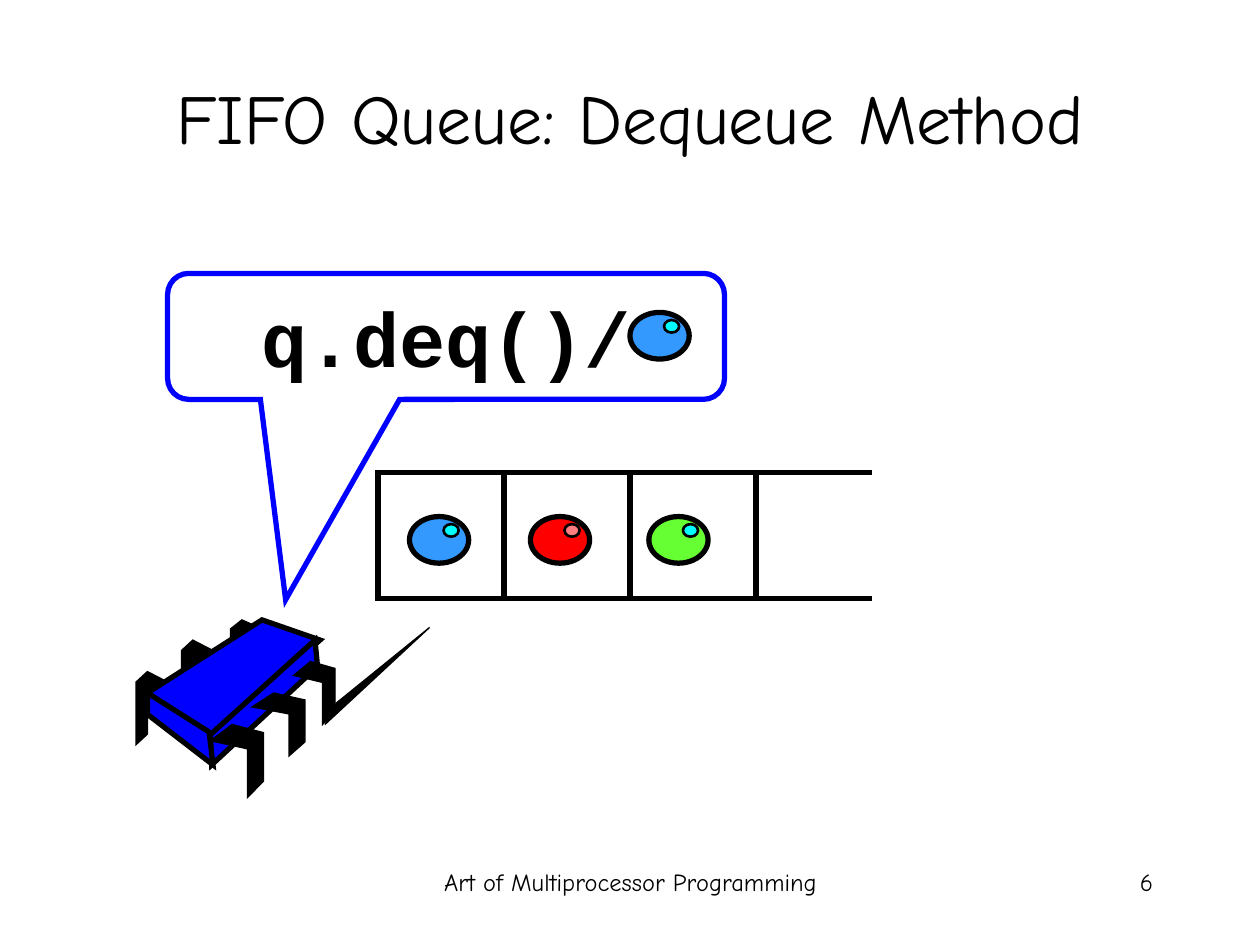
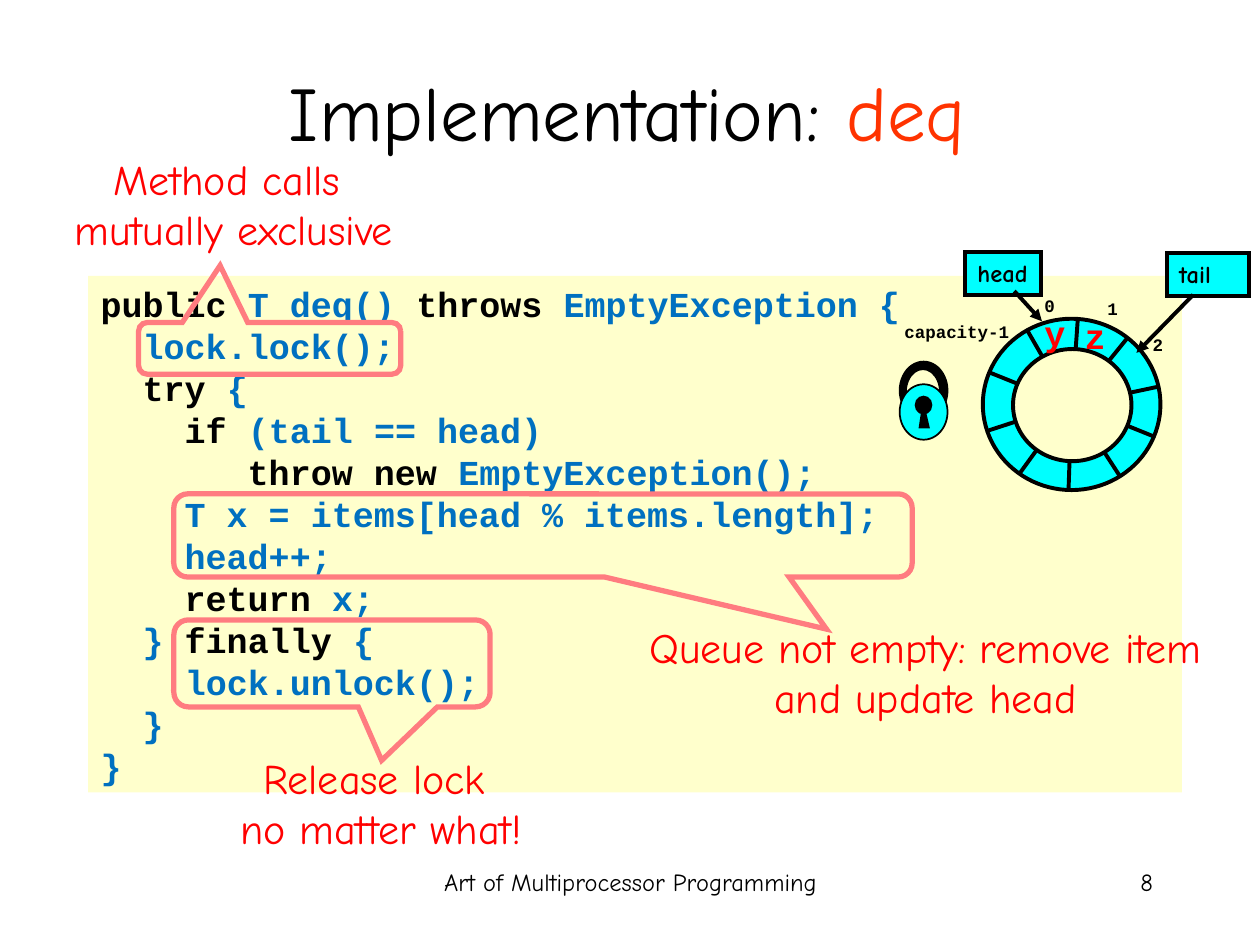
from dataclasses import dataclass
from itertools import cycle
from math import cos, radians, sin
from typing import NamedTuple

from pptx import Presentation
from pptx.dml.color import RGBColor
from pptx.enum.shapes import MSO_CONNECTOR, MSO_SHAPE as Shape
from pptx.enum.text import MSO_ANCHOR as Anchor, PP_ALIGN as Align
from pptx.oxml.ns import qn
from pptx.util import Inches, Pt
from lxml.etree import SubElement


@dataclass(frozen=True)
class Theme:
    """Colours, fonts and type sizes shared by the slides."""

    black: str = "000000"
    blue: str = "0000FF"
    sky: str = "3399FF"
    green: str = "66FF33"
    red: str = "FF0000"
    orange: str = "FF3300"
    pink: str = "FF7C80"
    cyan: str = "00FFFF"
    cream: str = "FFFFCC"
    code: str = "0070C0"
    hand: str = "Comic Neue"
    mono: str = "Courier New"
    title: int = 40
    big_title: int = 44
    call: int = 44
    note: int = 24
    listing: int = 20
    small: int = 14
    index: int = 10
    thick: float = 3
    medium: float = 2.25
    thin: float = 1


THEME = Theme()


class Box(NamedTuple):
    """A rectangle in inches."""

    left: float
    top: float
    width: float
    height: float

    def inside(self, left, top, width, height):
        """Return a box placed relative to this one."""
        return Box(self.left + left, self.top + top, width, height)

    def point(self, x, y):
        """Return a slide position, in EMU, relative to this box."""
        return Inches(self.left + x), Inches(self.top + y)

    def emu(self):
        """Return the four lengths in EMU."""
        return [Inches(length) for length in self]


CODE = [
    ("public ", "T deq() ", "throws ", "EmptyException {"),
    ("  ", "lock.lock();"),
    ("  try ", "{"),
    ("    if ", "(tail == head)"),
    ("       throw new ", "EmptyException();"),
    ("", "    T x = items[head % items.length];"),
    ("", "    head++;"),
    ("    return ", "x;"),
    ("  ", "}", " finally ", "{"),
    ("    ", "lock.unlock();"),
    ("", "  }"),
    ("", "}"),
]


def outline(line, colour, width):
    """Draw a solid line with sharp corners."""
    line.color.rgb = RGBColor.from_string(colour)
    line.width = Pt(width)
    SubElement(line._get_or_add_ln(), qn("a:miter"), lim="800000")


def paint(shape, fill=None, line=None, width=THEME.thick):
    """Set fill and outline, leaving out whichever is not given."""
    shape.shadow.inherit = False
    if fill:
        shape.fill.solid()
        shape.fill.fore_color.rgb = RGBColor.from_string(fill)
    else:
        shape.fill.background()
    if line:
        outline(shape.line, line, width)
    else:
        shape.line.fill.background()
    return shape


def figure(shapes, kind, box, fill=None, line=None, width=THEME.thick):
    """Add a painted preset shape."""
    return paint(shapes.add_shape(kind, *box.emu()), fill, line, width)


def polygon(shapes, box, points, fill, line=None, width=THEME.thick):
    """Add a closed outline through points given relative to the box."""
    start, *rest = [box.point(x, y) for x, y in points]
    builder = shapes.build_freeform(*start)
    builder.add_line_segments(rest, close=True)
    return paint(builder.convert_to_shape(), fill, line, width)


def stroke(shapes, box, start, end, width, arrow=False):
    """Add a straight line between points relative to the box."""
    connector = shapes.add_connector(
        MSO_CONNECTOR.STRAIGHT, *box.point(*start), *box.point(*end))
    outline(connector.line, THEME.black, width)
    if arrow:
        SubElement(connector.line._get_or_add_ln(), qn("a:tailEnd"), type="triangle")
    SubElement(connector._element.spPr, qn("a:effectLst"))


def write(shape, lines, size, font=THEME.hand, colour=THEME.black, bold=False,
          align=Align.LEFT, anchor=Anchor.TOP, wrap=True):
    """Fill a shape with lines, each a string or a list of coloured runs."""
    frame = shape.text_frame
    frame.word_wrap = wrap
    frame.vertical_anchor = anchor
    for number, line in enumerate(lines):
        paragraph = frame.add_paragraph() if number else frame.paragraphs[0]
        paragraph.alignment = align
        paragraph.font.size = Pt(size)
        paragraph.font.name = font
        paragraph.font.bold = bold
        if isinstance(line, str):
            paragraph.add_run().text = line
            paragraph.font.color.rgb = RGBColor.from_string(colour)
            continue
        for text, run_colour in line:
            run = paragraph.add_run()
            run.text = text
            run.font.color.rgb = RGBColor.from_string(run_colour)


def label(shapes, box, lines, size, **style):
    """Add a text box."""
    write(shapes.add_textbox(*box.emu()), lines, size, **style)


def callout(shapes, box, tip, colour):
    """Add a rounded speech bubble whose tip is a share of its size."""
    bubble = figure(shapes, Shape.ROUNDED_RECTANGULAR_CALLOUT, box, line=colour)
    for index, value in enumerate((*tip, 0.167)):
        bubble.adjustments[index] = value
    return bubble


def frame_slide(deck, number, title, title_box, title_size):
    """Start a slide with its title, footer and page number."""
    shapes = deck.slides.add_slide(deck.slide_layouts[6]).shapes
    label(shapes, Box(3.42, 6.83, 3.17, 0.5), ["Art of Multiprocessor Programming"],
          THEME.small, align=Align.CENTER)
    label(shapes, Box(7.17, 6.83, 2.08, 0.5), [str(number)], THEME.small, align=Align.RIGHT)
    label(shapes, title_box, [title], title_size, align=Align.CENTER, anchor=Anchor.MIDDLE)
    return shapes


def ball(shapes, box, colour, glint=THEME.cyan):
    """Draw a queue item with its highlight."""
    parts = shapes.add_group_shape().shapes
    figure(parts, Shape.OVAL, box, colour, THEME.black)
    figure(parts, Shape.OVAL, box.inside(0.27, 0.06, 0.12, 0.1), glint, THEME.black, 1.5)


def queue(shapes, box):
    """Draw an open-ended queue holding three items."""
    side = box.height
    items = [(0.25, THEME.sky, THEME.cyan), (0.21, THEME.red, THEME.pink),
             (0.15, THEME.green, THEME.cyan)]
    for slot, (inset, colour, glint) in enumerate(items):
        cell = box.inside(slot * side, 0, side, side)
        figure(shapes, Shape.RECTANGLE, cell, line=THEME.black)
        ball(shapes, cell.inside(inset, 0.35, 0.47, 0.37), colour, glint)
    for edge in (0, side):
        stroke(shapes, box, (box.width - side, edge), (box.width, edge), THEME.thick)


def chip(shapes, box):
    """Draw a processor chip that reaches out with an antenna."""
    parts = shapes.add_group_shape().shapes
    back_leg = [(1, 1 / 7), (0.36, 0), (0, 1 / 7), (0, 1), (0.36, 6 / 7), (0.36, 2 / 7), (1, 3 / 7)]
    front_leg = [(0.41, 0), (0, 2 / 9), (0.7, 3 / 9), (0.7, 1), (1, 7 / 9), (1, 1 / 9)]
    back_spots = [(0, 0.41, 0.25, 0.58), (0.36, 0.16, 0.25, 0.58), (0.75, 0, 0.25, 0.5)]
    front_spots = [(0.59, 0.83, 0.42, 0.58), (0.92, 0.58, 0.42, 0.5), (1.25, 0.33, 0.33, 0.5)]
    faces = [
        [(1, 0), (0.09, 0.58), (0.6, 0.93), (1.46, 0.16)],
        [(1.42, 0.16), (0.59, 0.91), (0.6, 1.15), (1.44, 0.37)],
        [(0.09, 0.58), (0.09, 0.75), (0.61, 1.15), (0.58, 0.89)],
    ]

    def legs(spots, leg):
        """Draw one row of legs."""
        for spot in spots:
            area = box.inside(*spot)
            points = [(x * area.width, y * area.height) for x, y in leg]
            polygon(parts, area, points, THEME.black, THEME.black, 0.75)

    legs(back_spots, back_leg)
    for face in faces:
        polygon(parts, box, face, THEME.blue, THEME.black)
    legs(front_spots, front_leg)
    antenna = [(1.5, 0.83), (1.59, 0.66), (2.33, 0.06)]
    polygon(parts, box, antenna, THEME.black, THEME.black, 0.75)


def padlock(shapes, box):
    """Draw a closed padlock."""
    thin = THEME.thin
    figure(shapes, Shape.OVAL, box.inside(0, 0, 0.38, 0.46), THEME.black, THEME.black, thin)
    figure(shapes, Shape.OVAL, box.inside(0.05, 0.06, 0.27, 0.36), THEME.cream, THEME.black, thin)
    figure(shapes, Shape.OVAL, box.inside(0, 0.18, 0.38, 0.44), THEME.cyan, THEME.black, thin)
    figure(shapes, Shape.OVAL, box.inside(0.12, 0.27, 0.14, 0.15), THEME.black)
    keyhole = [(0.15, 0.53), (0.17, 0.4), (0.21, 0.4), (0.24, 0.53)]
    polygon(shapes, box, keyhole, THEME.black)


def ring_buffer(shapes, box):
    """Draw the circular array with its indices, pointers and lock."""
    parts = shapes.add_group_shape().shapes
    medium = THEME.medium
    ring = box.inside(0.72, 0.53, 1.41, 1.36)
    hole = ring.inside(0.24, 0.24, 0.94, 0.89)
    for disc, colour in ((ring, THEME.cyan), (hole, THEME.cream)):
        figure(parts, Shape.OVAL, disc, colour, THEME.black, medium)
    for degrees in (4, 39, 78, 112, 147, 182, 216, 252, 292, 330):
        across, up = sin(radians(degrees)), cos(radians(degrees))
        inner, outer = [((ring.width + across * disc.width) / 2,
                         (ring.height - up * disc.height) / 2) for disc in (hole, ring)]
        stroke(parts, ring, inner, outer, medium)
    indices = [("0", 1.11, 0.29, 0.28), ("1", 1.61, 0.32, 0.28),
               ("capacity-1", 0, 0.5, 1.03), ("2", 1.97, 0.6, 0.28)]
    for text, left, top, width in indices:
        label(parts, box.inside(left, top, width, 0.27), [text], THEME.index,
              font=THEME.mono, bold=True, wrap=False)
    pointers = [("head", (0.58, 0, 0.6, 0.34), (0.97, 0.31), (1.19, 0.55)),
                ("tail", (2.18, 0.01, 0.65, 0.34), (2.39, 0.34), (1.94, 0.8))]
    for text, spot, start, end in pointers:
        tag = figure(parts, Shape.RECTANGLE, box.inside(*spot), THEME.cyan, THEME.black, medium)
        write(tag, [text], THEME.small, bold=True, wrap=False if text == "head" else True)
        stroke(parts, box, start, end, medium, arrow=True)
    for text, left, top in (("y", 1.11, 0.42), ("z", 1.43, 0.45)):
        label(parts, box.inside(left, top, 0.37, 0.44), [text], THEME.listing,
              font=THEME.mono, colour=THEME.red, bold=True, wrap=False)
    padlock(parts, box.inside(0.06, 0.87, 0.38, 0.62))


def code_panel(shapes, box):
    """Show the listing with keywords set apart by colour."""
    panel = figure(shapes, Shape.RECTANGLE, box, THEME.cream)
    lines = [[(text, colour) for text, colour in zip(line, cycle((THEME.black, THEME.code))) if text]
             for line in CODE]
    write(panel, lines, THEME.listing, font=THEME.mono, bold=True)


def remark(shapes, bubble_box, tip, note_box, lines):
    """Ring part of the listing and explain it."""
    callout(shapes, bubble_box, tip, THEME.pink)
    label(shapes, note_box, lines, THEME.note, colour=THEME.red, align=Align.CENTER)


def dequeue_slide(deck):
    """Build the slide on the dequeue call."""
    shapes = frame_slide(deck, 6, "FIFO Queue: Dequeue Method", Box(0.5, 0.3, 9, 1.25), THEME.title)
    queue(shapes, Box(3, 3.75, 3.92, 1))
    chip(shapes, Box(1.08, 4.92, 2.33, 1.41))
    speech = Box(1.33, 2.17, 4.42, 1)
    bubble = callout(shapes, speech, (-0.288, 2.09), THEME.blue)
    write(bubble, ["q.deq()/"], THEME.call, font=THEME.mono, bold=True,
          align=Align.CENTER, anchor=Anchor.MIDDLE)
    ball(shapes, speech.inside(3.67, 0.31, 0.47, 0.37), THEME.sky)


def implementation_slide(deck):
    """Build the slide with the annotated listing."""
    title = [("Implementation: ", THEME.black), ("deq", THEME.orange)]
    shapes = frame_slide(deck, 8, title, Box(0.73, 0.25, 8.5, 1.25), THEME.big_title)
    code_panel(shapes, Box(0.7, 2.19, 8.68, 4.1))
    ring_buffer(shapes, Box(7.08, 2, 2.83, 1.89))
    remark(shapes, Box(1.1, 2.56, 2.08, 0.41), (-0.189, -1.604),
           Box(0.09, 1.17, 3.53, 0.9), ["Method calls ", "mutually exclusive"])
    remark(shapes, Box(1.38, 3.92, 5.86, 0.66), (0.384, 1.127),
           Box(4.86, 4.88, 4.97, 0.9), ["Queue not empty: remove item and update head"])
    remark(shapes, Box(1.38, 4.92, 2.51, 0.69), (0.157, 1.116),
           Box(1.43, 5.92, 3.19, 0.9), ["Release lock ", "no matter what!"])


def main():
    """Build and save the deck."""
    deck = Presentation()
    deck.slide_width, deck.slide_height = Inches(10), Inches(7.5)
    dequeue_slide(deck)
    implementation_slide(deck)
    deck.save("out.pptx")


if __name__ == "__main__":
    main()
